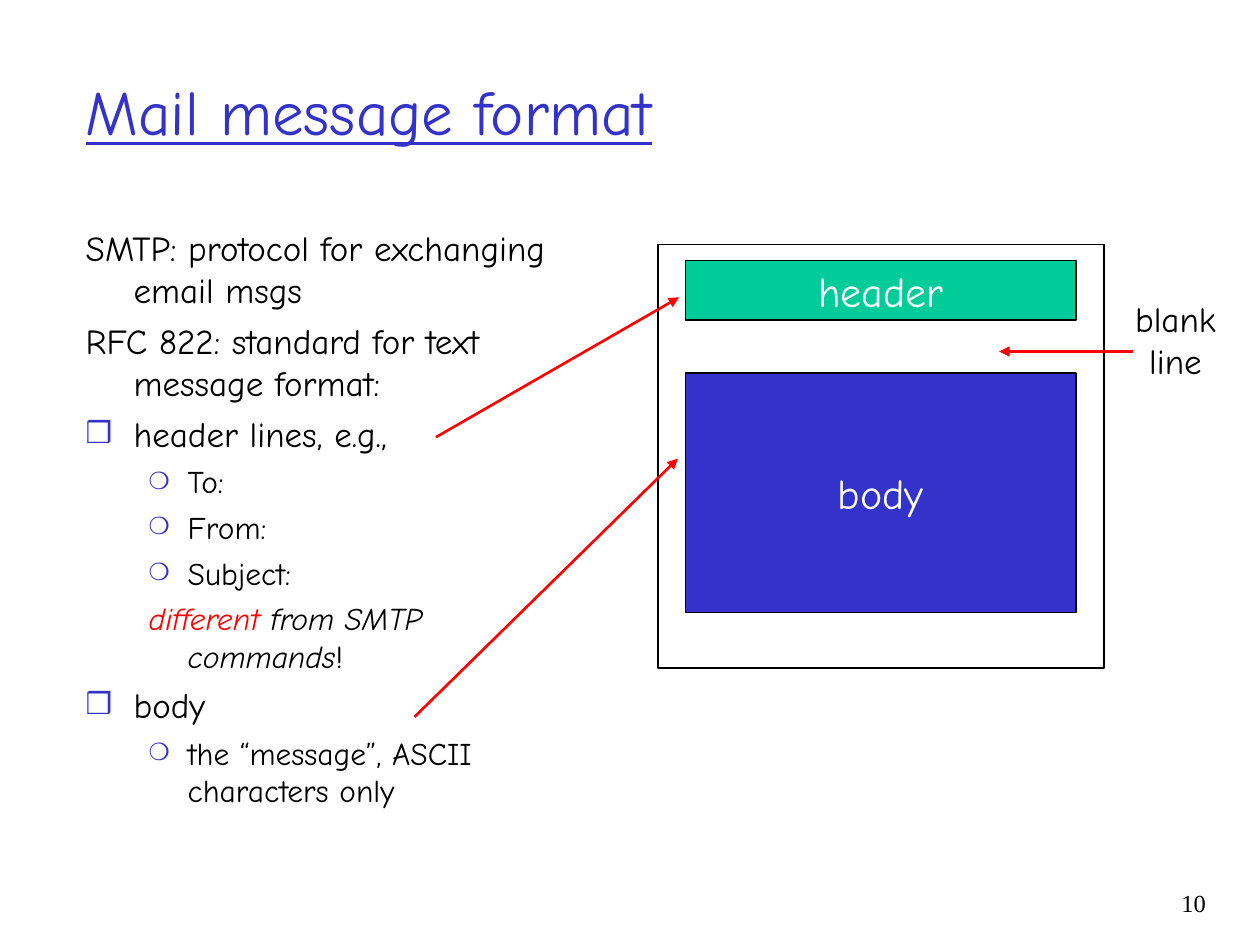
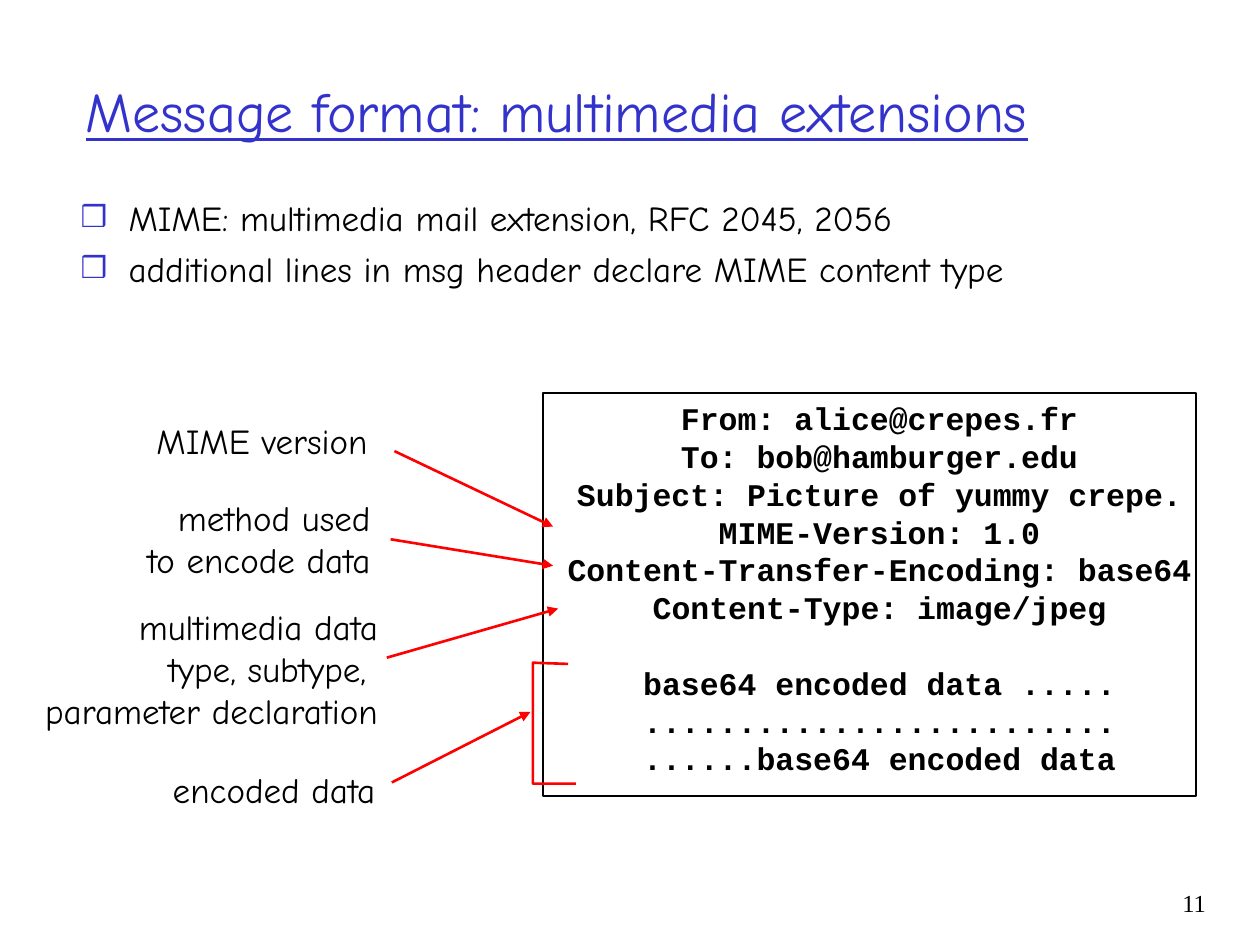
import pptx
import pptx.dml.color
import pptx.enum.shapes
import pptx.enum.text
import pptx.oxml
import pptx.oxml.ns
import pptx.util
import lxml.etree

Inches = pptx.util.Inches
Pt = pptx.util.Pt
ALIGN = pptx.enum.text.PP_ALIGN
AUTO = pptx.enum.text.MSO_AUTO_SIZE
MIDDLE = pptx.enum.text.MSO_ANCHOR.MIDDLE

BLACK, WHITE, BLUE, GREEN, RED = "000000", "FFFFFF", "3333CC", "00CC99", "FF0000"
LEVELS = [
    dict(size=20, before=5, left=0.38, hang=0.38, char="❒", percent=85),
    dict(size=18, before=4.5, left=0.81, hang=0.31, char="❍", percent=75),
]


def rgb(value):
    return pptx.dml.color.RGBColor.from_string(value)


def add_xml(parent, tag, **attributes):
    return lxml.etree.SubElement(parent, pptx.oxml.ns.qn(tag), **attributes)


class Deck:
    font = "Comic Neue"
    code_font = "Courier New"
    number_font = "Times New Roman"

    def __init__(self):
        self.prs = pptx.Presentation()
        self.prs.slide_width = Inches(10)
        self.prs.slide_height = Inches(7.5)
        self.s = None

    def new_slide(self, number, title, width, size):
        self.s = self.prs.slides.add_slide(self.prs.slide_layouts[1])
        self.text(str(number), 8.93, 7, 0.74, 0.5, size=14, align=ALIGN.RIGHT,
                  font=self.number_font, wrap=True)
        sp = self.s.shapes.title
        self.place(sp, 0.58, 0.25, width, 1.25)
        tf = sp.text_frame
        tf.text = title
        tf.auto_size = AUTO.NONE
        tf.vertical_anchor = MIDDLE
        self.format(tf.paragraphs[0], size, BLUE, ALIGN.LEFT)
        tf.paragraphs[0].runs[0].font.underline = True

    def place(self, sp, left, top, width, height):
        sp.left, sp.top = Inches(left), Inches(top)
        sp.width, sp.height = Inches(width), Inches(height)

    def format(self, p, size, color=BLACK, align=ALIGN.LEFT, font=None, bold=False):
        p.alignment = align
        p.line_spacing = Pt(1.2 * size)
        for r in p.runs:
            r.font.name = font or self.font
            r.font.size = Pt(size)
            r.font.bold = bold
            r.font.color.rgb = rgb(color)

    def bullets(self, left, top, width, height, items):
        sp = self.s.placeholders[1]
        self.place(sp, left, top, width, height)
        tf = sp.text_frame
        tf.text = "\n".join(text for level, marked, text in items)
        tf.auto_size = AUTO.NONE
        for p, (level, marked, text) in zip(tf.paragraphs, items):
            style = LEVELS[level]
            p.level = level
            p.space_before = Pt(style["before"])
            self.format(p, style["size"])
            pPr = p._p.get_or_add_pPr()
            pPr.set("marL", str(Inches(style["left"])))
            pPr.set("indent", str(-Inches(style["hang"])))
            if marked:
                add_xml(add_xml(pPr, "a:buClr"), "a:srgbClr", val=BLUE)
                add_xml(pPr, "a:buSzPct", val=str(style["percent"] * 1000))
                add_xml(pPr, "a:buChar", char=style["char"])
            else:
                add_xml(pPr, "a:buNone")
        return tf

    def text(self, text, left, top, width, height, size=20, align=ALIGN.CENTER,
             font=None, bold=False, wrap=False):
        sp = self.s.shapes.add_textbox(Inches(left), Inches(top), Inches(width), Inches(height))
        tf = sp.text_frame
        tf.text = text
        tf.word_wrap = wrap
        tf.auto_size = AUTO.NONE if wrap else AUTO.SHAPE_TO_FIT_TEXT
        for p in tf.paragraphs:
            self.format(p, size, BLACK, align, font, bold)
        return sp

    def outline(self, sp, color, width, fill=None):
        sp.shadow.inherit = False
        sp.line.color.rgb = rgb(color)
        sp.line.width = Pt(width)
        if fill:
            sp.fill.solid()
            sp.fill.fore_color.rgb = rgb(fill)
        else:
            sp.fill.background()

    def box(self, left, top, width, height, fill=None, text=""):
        sp = self.s.shapes.add_shape(pptx.enum.shapes.MSO_SHAPE.RECTANGLE, Inches(left),
                                     Inches(top), Inches(width), Inches(height))
        self.outline(sp, BLACK, 0.75 if fill else 1, fill)
        if text:
            tf = sp.text_frame
            tf.text = text
            tf.word_wrap = False
            tf.vertical_anchor = MIDDLE
            self.format(tf.paragraphs[0], 24, WHITE, ALIGN.CENTER)
        return sp

    def arrow(self, x1, y1, x2, y2):
        sp = self.s.shapes.add_connector(pptx.enum.shapes.MSO_CONNECTOR.STRAIGHT,
                                         Inches(x1), Inches(y1), Inches(x2), Inches(y2))
        sp.line.color.rgb = rgb(RED)
        sp.line.width = Pt(1.5)
        add_xml(sp.line._get_or_add_ln(), "a:tailEnd", type="triangle")
        add_xml(sp._element.spPr, "a:effectLst")

    def path_line(self, points):
        points = [(Inches(x), Inches(y)) for x, y in points]
        builder = self.s.shapes.build_freeform(*points[0])
        builder.add_line_segments(points[1:], close=False)
        self.outline(builder.convert_to_shape(), RED, 1.5)


def mail_format(deck):
    deck.new_slide(10, "Mail message format", 8.5, 36)
    tf = deck.bullets(0.58, 1.75, 4.17, 5.08, [
        (0, False, "SMTP: protocol for exchanging email msgs"),
        (0, False, "RFC 822: standard for text message format:"),
        (0, True, "header lines, e.g.,"),
        (1, True, "To:"),
        (1, True, "From:"),
        (1, True, "Subject:"),
        (1, False, "different "),
        (0, True, "body"),
        (1, True, "the “message”, ASCII characters only"),
    ])
    p = tf.paragraphs[6]
    for text in ("from SMTP commands", "!"):
        p.add_run().text = text
    deck.format(p, 18)
    different, commands, mark = p.runs
    different.font.color.rgb = rgb(RED)
    different.font.italic = commands.font.italic = True

    deck.box(5.44, 2.07, 3.1, 0.47, GREEN, "header")
    deck.box(5.44, 2.96, 3.1, 1.9, BLUE, "body")
    deck.box(5.22, 1.94, 3.54, 3.36)
    deck.arrow(3.46, 3.47, 5.39, 2.36)
    deck.arrow(3.29, 5.69, 5.38, 3.64)
    deck.text("blank\nline", 8.91, 2.31, 0.84, 0.77)
    deck.arrow(8.99, 2.79, 7.93, 2.79)


def multimedia_extensions(deck):
    deck.new_slide(11, "Message format: multimedia extensions", 9.17, 32)
    deck.bullets(0.54, 1.51, 8.01, 5.08, [
        (0, True, "MIME: multimedia mail extension, RFC 2045, 2056"),
        (0, True, "additional lines in msg header declare MIME content type"),
    ])
    headers = ["From: alice@crepes.fr", "To: bob@hamburger.edu",
               "Subject: Picture of yummy crepe.", "MIME-Version: 1.0",
               "Content-Transfer-Encoding: base64", "Content-Type: image/jpeg"]
    data = ["base64 encoded data .....", "." * 25, "......base64 encoded data"]
    message = deck.text("\n".join(headers + data), 4.26, 3.12, 5.44, 3.4, size=18,
                        font=deck.code_font, bold=True, wrap=True)
    message.text_frame.paragraphs[len(headers)].space_before = Pt(21.6)
    frame = deck.box(4.31, 3.12, 5.18, 3.2)
    deck.s.shapes.add_group_shape([message, frame])

    deck.text("multimedia data\ntype, subtype, \nparameter declaration",
              0.24, 4.76, 2.86, 1.1, align=ALIGN.RIGHT)
    deck.text("method used\nto encode data", 1.05, 3.89, 1.99, 0.77, align=ALIGN.RIGHT)
    deck.text("MIME version", 1.14, 3.28, 1.88, 0.44)
    deck.text("encoded data", 1.27, 6.05, 1.81, 0.44)
    for ends in [(3.13, 3.58, 4.39, 4.18), (3.1, 4.28, 4.39, 4.49),
                 (3.07, 5.22, 4.43, 4.83), (3.11, 6.21, 4.21, 5.65)]:
        deck.arrow(*ends)
    deck.path_line([(4.51, 5.27), (4.23, 5.26), (4.23, 6.22), (4.57, 6.22)])


def main():
    deck = Deck()
    mail_format(deck)
    multimedia_extensions(deck)
    deck.prs.save("out.pptx")


if __name__ == "__main__":
    main()
